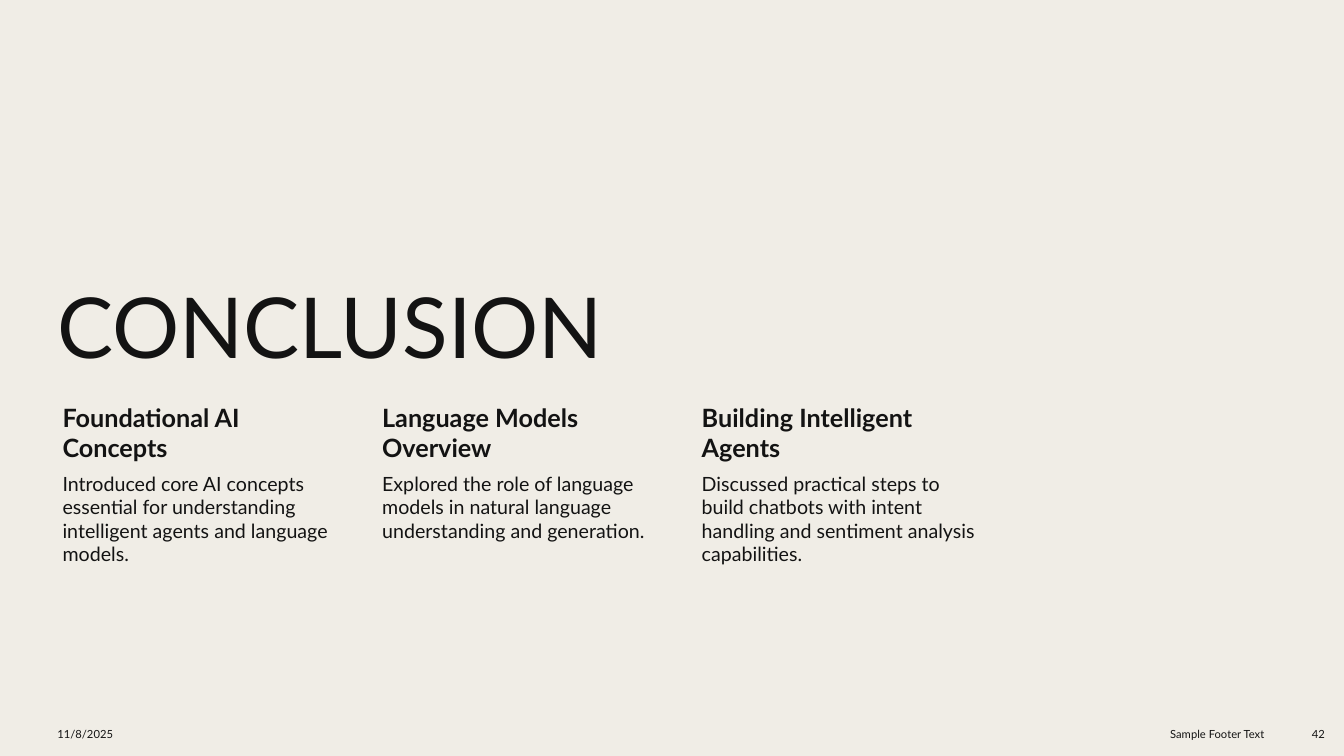
from pptx import Presentation
from pptx.dml.color import RGBColor
from pptx.enum.text import MSO_ANCHOR, PP_ALIGN
from pptx.util import Inches, Pt

TITLE = "CONCLUSION"
TOPICS = [
    ("Foundational AI Concepts",
     "Introduced core AI concepts essential for understanding intelligent agents and language models."),
    ("Language Models Overview",
     "Explored the role of language models in natural language understanding and generation."),
    ("Building Intelligent Agents",
     "Discussed practical steps to build chatbots with intent handling and sentiment analysis capabilities."),
]
FOOTER = [
    ("11/8/2025", 0.47, 3.11, PP_ALIGN.LEFT),
    ("Sample Footer Text", 9.73, 2.91, PP_ALIGN.RIGHT),
    ("42", 12.74, 0.5, PP_ALIGN.RIGHT),
]
THEME = {
    "font": "Lato",
    "paper": RGBColor.from_string("F0EDE6"),
    "ink": RGBColor.from_string("131313"),
    "title": 60, "head": 18, "body": 14, "foot": 8,
}
LEFT, WIDTH, GAP = 0.47, 2.88, 0.29
HEAD_TOP, HEAD_TALL = 3.96, 0.69
BODY_TOP, BODY_TALL = 4.66, 1.31
FOOT_TOP, FOOT_TALL = 7.1, 0.37


def add_text(slide, text, place, size, anchor=MSO_ANCHOR.TOP,
             align=PP_ALIGN.LEFT, inset=(0.1, 0.05, 0.1, 0.05), bold=False):
    box = slide.shapes.add_textbox(*map(Inches, place))
    frame = box.text_frame
    frame.word_wrap = True
    frame.vertical_anchor = anchor
    (frame.margin_left, frame.margin_top,
     frame.margin_right, frame.margin_bottom) = map(Inches, inset)
    frame.text = text
    line = frame.paragraphs[0]
    line.alignment = align
    font = line.runs[0].font
    font.name = THEME["font"]
    font.size = Pt(THEME[size])
    font.color.rgb = THEME["ink"]
    font.bold = bold
    return line


def main():
    deck = Presentation()
    deck.slide_width, deck.slide_height = Inches(13.33), Inches(7.5)
    slide = deck.slides.add_slide(deck.slide_layouts[6])
    fill = slide.background.fill
    fill.solid()
    fill.fore_color.rgb = THEME["paper"]

    title = add_text(slide, TITLE, (LEFT, 1.78, 9.22, 2.01), "title", MSO_ANCHOR.BOTTOM)
    title.line_spacing = 0.9

    for i, (head, body) in enumerate(TOPICS):
        x = LEFT + i * (WIDTH + GAP)
        add_text(slide, head, (x, HEAD_TOP, WIDTH, HEAD_TALL), "head",
                 inset=(0.15, 0.03, 0.03, 0.03), bold=True)
        add_text(slide, body, (x, BODY_TOP, WIDTH, BODY_TALL), "body",
                 inset=(0.15, 0.02, 0.02, 0.02))

    for text, x, width, align in FOOTER:
        add_text(slide, text, (x, FOOT_TOP, width, FOOT_TALL), "foot",
                 MSO_ANCHOR.MIDDLE, align)

    deck.save("out.pptx")


if __name__ == "__main__":
    main()
